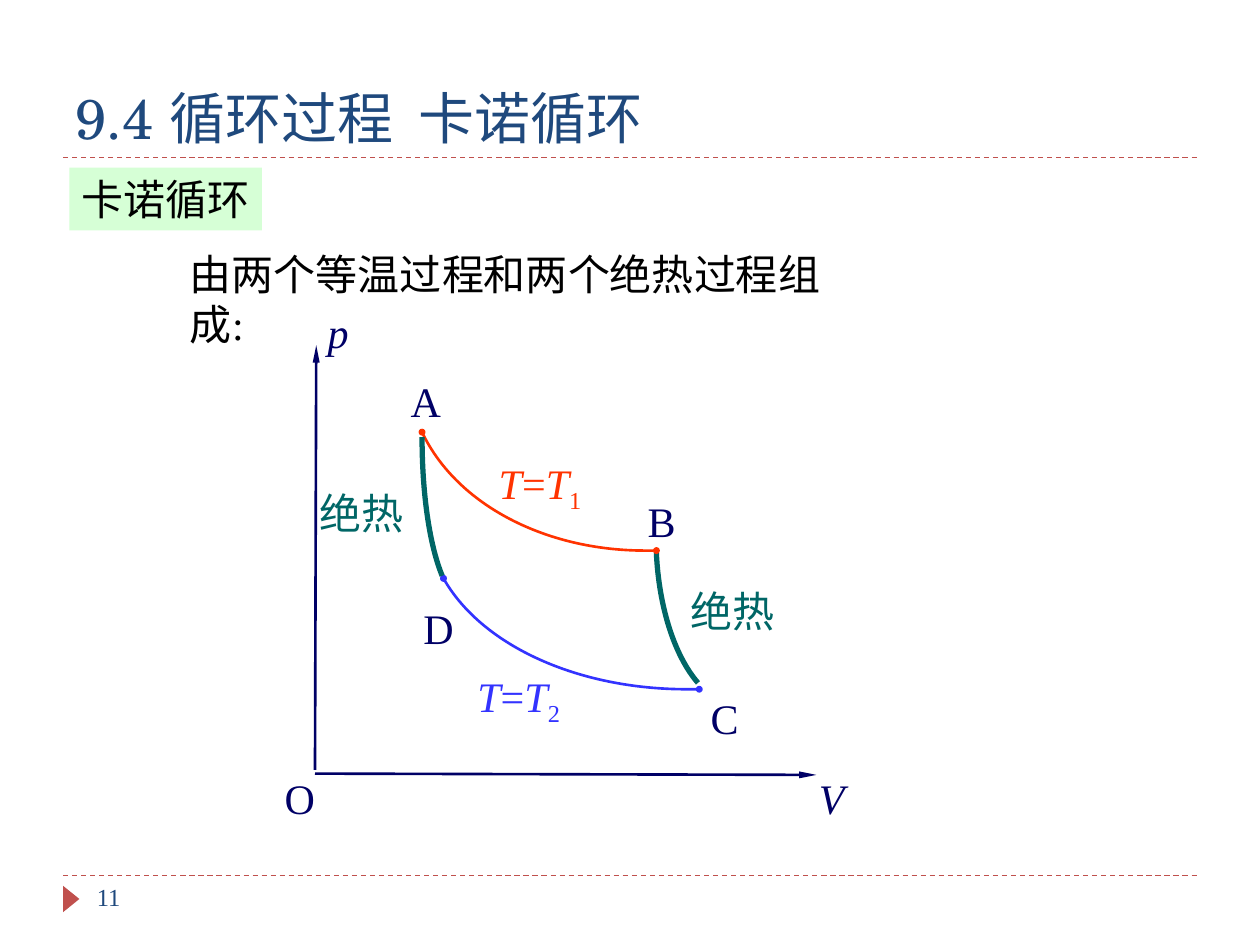
"""Build the Carnot cycle slide: a p-V diagram of two isotherms and two adiabats."""
from dataclasses import dataclass

from lxml.etree import SubElement
from pptx import Presentation
from pptx.dml.color import RGBColor
from pptx.enum.dml import MSO_LINE
from pptx.enum.shapes import MSO_CONNECTOR, MSO_SHAPE
from pptx.enum.text import MSO_ANCHOR, MSO_AUTO_SIZE, PP_ALIGN
from pptx.oxml.ns import qn
from pptx.util import Inches, Pt


@dataclass(frozen=True)
class Theme:
    head_font: str = "TeX Gyre Schola"
    font: str = "Times New Roman"
    title: int = 32
    body: int = 24
    small: int = 14
    heading: str = "1F497D"
    accent: str = "C0504D"
    black: str = "000000"
    axis: str = "000066"
    hot: str = "FF3300"
    cold: str = "3333FF"
    adiabat: str = "006666"
    highlight: str = "CCFFCC"


T = Theme()
WIDTH, HEIGHT, MARGIN = 10, 7.5, 0.5
TITLE = "9.4 循环过程  卡诺循环"
TOPIC = "卡诺循环"
SUMMARY = "由两个等温过程和两个绝热过程组成:"
PAGE = "11"
RULES = [6.95, 1.25]
AXES = [((2.5, 6.14), (6.48, 6.15)), ((2.5, 6.11), (2.51, 2.74))]
CURVES = [
    (T.adiabat, 3, False, [(5.54, 5.42), (5.35, 5.2), (5.23, 4.81), (5.21, 4.39)]),
    (T.cold, 1.5, True, [(5.55, 5.47), (5.52, 5.47), (5.48, 5.47), (5.45, 5.47),
                         (4.59, 5.47), (3.82, 5.12), (3.52, 4.59)]),
    (T.hot, 1.5, True, [(5.21, 4.37), (5.18, 4.37), (5.15, 4.37), (5.12, 4.37),
                        (4.33, 4.37), (3.62, 4), (3.35, 3.43)]),
    (T.adiabat, 3, False, [(3.51, 4.57), (3.41, 4.33), (3.35, 3.92), (3.35, 3.47)]),
]
POINT_LABELS = [("C", 5.63, 5.49, ""), ("B", 5.13, 3.92, ""), ("A", 3.25, 2.97, ""),
                ("D", 3.35, 4.77, ""), ("O", 2.25, 6.12, ""), ("V", 6.49, 6.12, "i"),
                ("p", 2.59, 2.42, "i")]
CURVE_LABELS = [
    ([("T", "i"), ("=", ""), ("T", "i"), ("1", "sub")], 3.86, 3.58, T.hot),
    ([("绝热", "")], 5.38, 4.6, T.adiabat),
    ([("T", "i"), ("=", ""), ("T", "i"), ("2", "sub")], 3.69, 5.27, T.cold),
    ([("绝热", "")], 2.44, 3.82, T.adiabat),
]


def rgb(color):
    return RGBColor.from_string(color)


def write(tf, runs, color, size=T.body, font=T.font, align=PP_ALIGN.LEFT):
    p = tf.paragraphs[0]
    p.alignment = align
    for text, style in runs:
        r = p.add_run()
        r.text = text
        r.font.name, r.font.size = font, Pt(size)
        r.font.color.rgb = rgb(color)
        r.font.italic = style == "i"
        if style == "sub":
            r.font._element.set("baseline", "-25000")


def add_text(slide, box, runs, color, inset=(0.1, 0.05), **style):
    tf = slide.shapes.add_textbox(*map(Inches, box)).text_frame
    tf.word_wrap = True
    tf.margin_left = tf.margin_right = Inches(inset[0])
    tf.margin_top = tf.margin_bottom = Inches(inset[1])
    write(tf, runs, color, **style)


def set_ends(line, **ends):
    ln = line._get_or_add_ln()
    for tag, (kind, width, length) in ends.items():
        SubElement(ln, qn(f"a:{tag}"), type=kind, w=width, len=length)


def add_line(slide, start, end, color, width):
    s = slide.shapes.add_connector(MSO_CONNECTOR.STRAIGHT, *map(Inches, start + end))
    s.line.color.rgb, s.line.width = rgb(color), Pt(width)
    SubElement(s._element.spPr, qn("a:effectLst"))
    return s


def bend(shape):
    """Turn each run of three straight segments into one cubic curve."""
    segments = list(shape._element.iter(qn("a:lnTo")))
    for i in range(0, len(segments), 3):
        first, *others = segments[i:i + 3]
        first.tag = qn("a:cubicBezTo")
        for segment in others:
            first.append(segment[0])
            segment.getparent().remove(segment)


def add_curve(slide, color, width, dots, points):
    start, *rest = [tuple(map(Inches, xy)) for xy in points]
    builder = slide.shapes.build_freeform(*start)
    builder.add_line_segments(rest, close=False)
    s = builder.convert_to_shape()
    bend(s)
    s.shadow.inherit = False
    s.fill.background()
    s.line.color.rgb, s.line.width = rgb(color), Pt(width)
    if dots:
        dot = ("oval", "sm", "sm")
        set_ends(s.line, headEnd=dot, tailEnd=dot)


def add_block(slide, kind, box, color):
    s = slide.shapes.add_shape(kind, *map(Inches, box))
    s.shadow.inherit = False
    s.fill.solid()
    s.fill.fore_color.rgb = rgb(color)
    s.line.fill.background()
    return s


def add_frame(slide):
    for y in RULES:
        s = add_line(slide, (MARGIN, y), (WIDTH - MARGIN, y), T.accent, 0.75)
        s.line.dash_style = MSO_LINE.DASH
    add_block(slide, MSO_SHAPE.ISOSCELES_TRIANGLE, (0.46, 7.07, 0.21, 0.13), T.accent).rotation = 90
    title = slide.shapes.title
    title.left, title.top, title.width, title.height = map(
        Inches, (MARGIN, 0.25, WIDTH - 2 * MARGIN, 1))
    tf = title.text_frame
    tf.vertical_anchor, tf.auto_size = MSO_ANCHOR.BOTTOM, MSO_AUTO_SIZE.NONE
    write(tf, [(TITLE, "")], T.heading, T.title, T.head_font)
    add_text(slide, (0.67, 6.95, 2.17, 0.4), [(PAGE, "")], T.heading, size=T.small)


def add_topic(slide):
    s = add_block(slide, MSO_SHAPE.RECTANGLE, (0.55, 1.33, 1.53, 0.5), T.highlight)
    SubElement(s._element.spPr.find(f".//{qn('a:srgbClr')}"), qn("a:alpha"), val="80000")
    s.text_frame.word_wrap = False
    s.text_frame.vertical_anchor = MSO_ANCHOR.MIDDLE
    write(s.text_frame, [(TOPIC, "")], T.black)


def add_diagram(slide):
    for start, end in AXES:
        axis = add_line(slide, start, end, T.axis, 1.5)
        set_ends(axis.line, tailEnd=("triangle", "sm", "lg"))
    for curve in CURVES:
        add_curve(slide, *curve)
    for text, x, y, style in POINT_LABELS:
        add_text(slide, (x, y, 0.5, 0.5), [(text, style)], T.axis,
                 inset=(0.01, 0.01), align=PP_ALIGN.JUSTIFY)
    for runs, x, y, color in CURVE_LABELS:
        add_text(slide, (x, y, 1.18, 0.5), runs, color)


def main():
    prs = Presentation()
    prs.slide_width, prs.slide_height = Inches(WIDTH), Inches(HEIGHT)
    slide = prs.slides.add_slide(prs.slide_layouts[5])
    add_frame(slide)
    add_topic(slide)
    add_diagram(slide)
    add_text(slide, (1.41, 1.92, 5.4, 0.5), [(SUMMARY, "")], T.black)
    prs.save("out.pptx")


if __name__ == "__main__":
    main()
